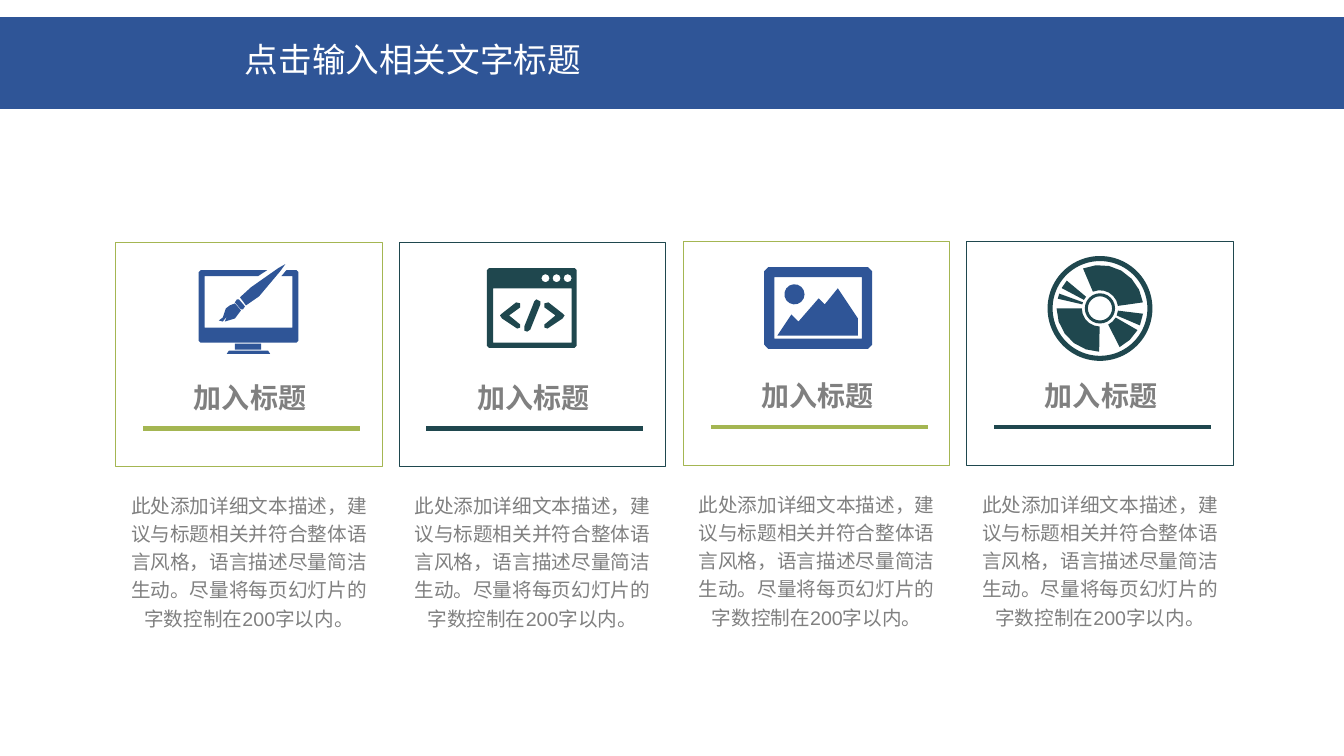
"""Build a slide with a title band and four icon cards."""
from math import ceil, cos, radians, sin

from lxml import etree
from pptx import Presentation
from pptx.dml.color import RGBColor
from pptx.enum.shapes import MSO_CONNECTOR, MSO_SHAPE
from pptx.enum.text import MSO_ANCHOR, MSO_AUTO_SIZE, PP_ALIGN
from pptx.oxml.ns import qn
from pptx.util import Emu, Pt

RECTANGLE, DONUT = MSO_SHAPE.RECTANGLE, MSO_SHAPE.DONUT
STRAIGHT = MSO_CONNECTOR.STRAIGHT
LEFT, CENTER = PP_ALIGN.LEFT, PP_ALIGN.CENTER
TOP, MIDDLE = MSO_ANCHOR.TOP, MSO_ANCHOR.MIDDLE
GROW = MSO_AUTO_SIZE.SHAPE_TO_FIT_TEXT

EMU_PER_PX = 9144
BLUE, GREEN, TEAL = "2F5597", "A4B652", "1F474E"
GRAY, WHITE = "808080", "FFFFFF"
CJK_FONT = "Noto Sans CJK SC"
CARD_TITLE = "加入标题"
CARD_BODY = ("此处添加详细文本描述，建议与标题相关并符合整体语言风格，"
             "语言描述尽量简洁生动。尽量将每页幻灯片的字数控制在200字以内。")
CARDS = [(115, 241, GREEN), (396, 241, TEAL), (678, 240, GREEN), (959, 240, TEAL)]


def px(length):
    """Turn pixels into EMU."""
    return Emu(round(length * EMU_PER_PX))


def color(code):
    """Turn a hex string into a colour."""
    return RGBColor.from_string(code)


def paint(shape, fill=None, line=None, width=0.75):
    """Set the fill and line of a shape and drop its shadow."""
    shape.shadow.inherit = False
    if fill:
        shape.fill.solid()
        shape.fill.fore_color.rgb = color(fill)
    else:
        shape.fill.background()
    if line:
        shape.line.color.rgb = color(line)
        shape.line.width = Pt(width)
    else:
        shape.line.fill.background()


def add_box(shapes, left, top, width, height, kind=RECTANGLE, **style):
    """Add a painted preset shape."""
    box = shapes.add_shape(kind, px(left), px(top), px(width), px(height))
    paint(box, **style)
    return box


def write(box, text, size, code, font="Arial", bold=False, align=CENTER,
          anchor=TOP, wrap=True, spacing=None, insets=(10, 0, 10, 0)):
    """Write one formatted paragraph into a box."""
    frame = box.text_frame
    frame.word_wrap = wrap
    frame.auto_size = GROW
    frame.vertical_anchor = anchor
    (frame.margin_left, frame.margin_top,
     frame.margin_right, frame.margin_bottom) = map(px, insets)
    para = frame.paragraphs[0]
    para.alignment = align
    if spacing:
        para.line_spacing = spacing
    span = para.add_run()
    span.text = text
    span.font.size = Pt(size)
    span.font.bold = bold
    span.font.color.rgb = color(code)
    span.font.name = font
    east_asian = etree.SubElement(span.font._element, qn("a:ea"))
    east_asian.set("typeface", CJK_FONT)


def add_text(shapes, left, top, width, height, text, **style):
    """Add a text box."""
    box = shapes.add_textbox(px(left), px(top), px(width), px(height))
    write(box, text, **style)


def add_rule(shapes, left, right, y, code):
    """Add a thick horizontal line."""
    rule = shapes.add_connector(STRAIGHT, px(left), px(y), px(right), px(y))
    rule.line.color.rgb = color(code)
    rule.line.width = Pt(3)
    etree.SubElement(rule._element.spPr, qn("a:effectLst"))


def add_outline(shapes, code, *contours):
    """Add a filled outline; inner contours cut holes."""
    scaled = [[(px(x), px(y)) for x, y in contour] for contour in contours]
    builder = shapes.build_freeform(*scaled[0][0])
    for index, contour in enumerate(scaled):
        if index:
            builder.move_to(*contour[0])
        builder.add_line_segments(contour[1:], close=True)
    paint(builder.convert_to_shape(), fill=code)


def add_ring(shapes, x, y, outer, inner, code):
    """Add a ring around a centre."""
    ring = add_box(shapes, x - outer, y - outer, 2 * outer, 2 * outer,
                   kind=DONUT, fill=code)
    ring.adjustments[0] = (outer - inner) / (2 * outer)


def arc(x, y, radius, start, end, step=18):
    """Return points on an arc, with clockwise angles from the right."""
    count = ceil(abs(end - start) / step)
    angles = [radians(start + (end - start) * i / count) for i in range(count + 1)]
    return [(x + radius * cos(angle), y + radius * sin(angle)) for angle in angles]


def circle(x, y, radius, step):
    """Return the points of a small circle."""
    return arc(x, y, radius, 0, 360, step)[:-1]


def rectangle(left, top, right, bottom, cut=0):
    """Return the corners of a rectangle, each cut off if asked."""
    if not cut:
        return [(left, top), (right, top), (right, bottom), (left, bottom)]
    return [(left + cut, top), (right - cut, top), (right, top + cut),
            (right, bottom - cut), (right - cut, bottom), (left + cut, bottom),
            (left, bottom - cut), (left, top + cut)]


def draw_window(shapes):
    """Draw the code window icon."""
    buttons = [circle(x, 276, 4, 45) for x in (541, 552, 563)]
    add_outline(shapes, TEAL, rectangle(483, 266, 572, 345, 2),
                rectangle(489, 286, 567, 340), *buttons)
    bracket = [(513, 326), (498, 316), (496, 313), (498, 311), (512, 300),
               (516, 301), (516, 305), (505, 313), (516, 322), (516, 325)]
    add_outline(shapes, TEAL, bracket)
    add_outline(shapes, TEAL, [(1056 - x, y) for x, y in bracket])
    add_outline(shapes, TEAL, [(523, 329), (520, 328), (520, 324), (530, 299),
                               (532, 297), (536, 299), (536, 302), (526, 327)])


def draw_disc(shapes):
    """Draw the disc icon."""
    x, y = 1091, 306
    for outer, inner in ((52, 47), (15, 12)):
        add_ring(shapes, x, y, outer, inner, TEAL)
    for start, end in ((247, 352), (7, 23), (30, 63), (91, 180), (193, 200), (208, 220)):
        add_outline(shapes, TEAL, arc(x, y, 43, start, end) + arc(x, y, 18, end, start))


def draw_monitor(shapes):
    """Draw the monitor and brush icon."""
    add_box(shapes, 233, 341, 26, 6, fill=BLUE)
    stand = [(266, 348), (227, 348), (225, 351), (268, 351)]
    screen = [(294, 268), (284, 268), (279, 274), (290, 274), (290, 325),
              (203, 325), (203, 274), (256, 274), (265, 268), (199, 268), (197, 270),
              (197, 338), (199, 340), (294, 340), (296, 338), (296, 270)]
    bristles = [(224, 306), (221, 315), (217, 318), (221, 319), (225, 314),
                (223, 319), (233, 316), (239, 308), (233, 301), (228, 303)]
    handle = [(276, 266), (249, 285), (238, 295), (244, 303), (257, 294),
              (278, 269), (283, 262)]
    collar = [(237, 297), (235, 297), (233, 300), (239, 307), (241, 307), (243, 304)]
    for contour in (stand, screen, bristles, handle, collar):
        add_outline(shapes, BLUE, contour)


def draw_landscape(shapes):
    """Draw the framed landscape icon."""
    mountains = [(851, 316), (831, 286), (818, 302), (812, 296), (792, 319),
                 (785, 312), (771, 333), (851, 333)]
    add_outline(shapes, BLUE, rectangle(758, 265, 865, 346, 4),
                rectangle(768, 275, 855, 336), mountains, circle(788, 292, 10, 24))


def add_header(shapes):
    """Add the title band."""
    add_box(shapes, 0, 17, 1333, 91, fill=BLUE)
    title = add_box(shapes, 233, 34, 353, 50, fill=BLUE)
    write(title, "点击输入相关文字标题", size=24, code=WHITE, font=CJK_FONT,
          align=LEFT, anchor=MIDDLE, wrap=False, insets=(10, 5, 10, 5))


def add_card(shapes, left, top, code):
    """Add a framed card with its title, rule and description."""
    add_box(shapes, left, top, 264, 222, line=code)
    add_rule(shapes, left + 27, left + 242, top + 184, code)
    add_text(shapes, left + 6, top + 136, 264, 34, CARD_TITLE,
             size=20, code=GRAY, bold=True, insets=(0, 0, 10, 0))
    add_text(shapes, left, top + 244, 264, 141, CARD_BODY,
             size=14, code=GRAY, spacing=1.2)


def main():
    """Build and save the deck."""
    deck = Presentation()
    deck.slide_width, deck.slide_height = px(1333), px(750)
    page = deck.slides.add_slide(deck.slide_layouts[6])
    add_header(page.shapes.add_group_shape().shapes)
    for card in CARDS:
        add_card(page.shapes, *card)
    for draw in (draw_window, draw_disc, draw_monitor, draw_landscape):
        draw(page.shapes.add_group_shape().shapes)
    deck.save("out.pptx")


if __name__ == "__main__":
    main()
